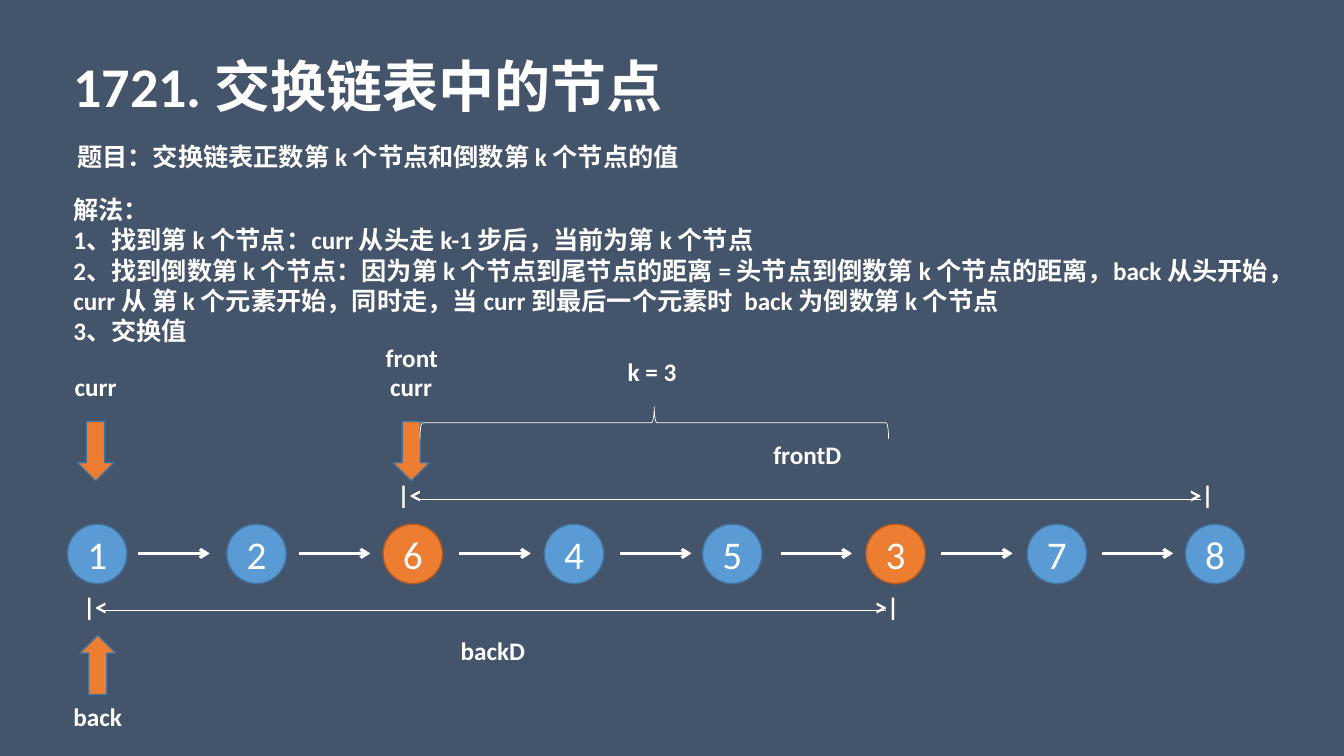
"""Build the slide about swapping the k-th nodes from both ends of a linked list."""
from lxml import etree
from pptx import Presentation
from pptx.dml.color import RGBColor
from pptx.enum.shapes import MSO_CONNECTOR, MSO_SHAPE
from pptx.enum.text import MSO_ANCHOR, MSO_AUTO_SIZE, PP_ALIGN
from pptx.oxml.ns import qn
from pptx.util import Pt

STRAIGHT = MSO_CONNECTOR.STRAIGHT
OVAL = MSO_SHAPE.OVAL
DOWN_ARROW = MSO_SHAPE.DOWN_ARROW
UP_ARROW = MSO_SHAPE.UP_ARROW
LEFT_BRACE = MSO_SHAPE.LEFT_BRACE
MIDDLE = MSO_ANCHOR.MIDDLE
GROW = MSO_AUTO_SIZE.SHAPE_TO_FIT_TEXT
LEFT = PP_ALIGN.LEFT
CENTER = PP_ALIGN.CENTER

FONT = "Calibri"
COLORS = {
    "background": "44546A",
    "white": "FFFFFF",
    "blue": "5B9BD5",
    "blue_edge": "43739E",
    "orange": "ED7D31",
    "orange_edge": "AF5C24",
}

NODES = [(1, 48.2), (2, 162), (6, 273.6), (4, 388.8), (5, 501.8), (3, 618.5), (7, 733.7), (8, 846.7)]
SWAPPED = {6, 3}
NODE_TOP, NODE_SIZE = 374.4, 42.5
LINK_LEFT, LINK_PITCH, LINK_LENGTH, LINK_Y = 98.8, 114.7, 51, 395.3
LABEL_HEIGHT = 28.8
POINTER_WIDTH, POINTER_HEIGHT = 25.9, 42.5

SOLUTION = [
    "解法：",
    "1、找到第 k 个节点：curr 从头走 k-1 步后，当前为第 k 个节点",
    "2、找到倒数第 k 个节点：因为第 k 个节点到尾节点的距离 = 头节点到倒数第 k 个节点的距离，"
    "back 从头开始，curr 从 第 k 个元素开始，同时走，当 curr 到最后一个元素时  back 为倒数第 k 个节点",
    "3、交换值",
]


def color(name):
    return RGBColor.from_string(COLORS[name])


def write_text(frame, lines, size=18, bold=True, align=CENTER):
    for index, line in enumerate(lines):
        paragraph = frame.paragraphs[0] if index == 0 else frame.add_paragraph()
        paragraph.alignment = align
        run = paragraph.add_run()
        run.text = line
        run.font.name = FONT
        run.font.size = Pt(size)
        run.font.bold = bold
        run.font.color.rgb = color("white")


def add_label(slide, lines, left, top, width, height=LABEL_HEIGHT, wrap=True, **text_format):
    box = slide.shapes.add_textbox(Pt(left), Pt(top), Pt(width), Pt(height))
    box.text_frame.word_wrap = wrap
    box.text_frame.auto_size = GROW
    write_text(box.text_frame, lines, **text_format)


def add_figure(slide, kind, left, top, width, height, fill=None, edge="blue_edge", edge_width=1):
    shape = slide.shapes.add_shape(kind, Pt(left), Pt(top), Pt(width), Pt(height))
    shape.shadow.inherit = False
    if fill:
        shape.fill.solid()
        shape.fill.fore_color.rgb = color(fill)
    else:
        shape.fill.background()
    shape.line.color.rgb = color(edge)
    shape.line.width = Pt(edge_width)
    return shape


def add_line(slide, left, right, y, width, arrow=False):
    line = slide.shapes.add_connector(STRAIGHT, Pt(left), Pt(y), Pt(right), Pt(y))
    line.line.color.rgb = color("white")
    line.line.width = Pt(width)
    if arrow:
        etree.SubElement(line.line._get_or_add_ln(), qn("a:tailEnd"), type="arrow")
    etree.SubElement(line._element.spPr, qn("a:effectLst"))


def add_node(slide, value, left):
    family = "orange" if value in SWAPPED else "blue"
    node = add_figure(slide, OVAL, left, NODE_TOP, NODE_SIZE, NODE_SIZE, family, family + "_edge")
    node.text_frame.vertical_anchor = MIDDLE
    write_text(node.text_frame, [str(value)], size=28, bold=False)


def add_distance(slide, name, left, top, name_left, name_top):
    """Draw a named span between two bar-and-arrow end marks."""
    add_label(slide, [name], name_left, name_top, 72)
    add_label(slide, ["|< "], left, top, 42.5)
    add_line(slide, left + 24.5, left + 584, top + 17.3, 0.5)
    add_label(slide, [">| "], left + 565.2, top, 42.5)


def add_pointer(slide, kind, name, left, top, name_top):
    add_figure(slide, kind, left, top, POINTER_WIDTH, POINTER_HEIGHT, "orange")
    width = 50
    add_label(slide, [name], left + (POINTER_WIDTH - width) / 2, name_top, width, wrap=False)


def main():
    presentation = Presentation()
    presentation.slide_width, presentation.slide_height = Pt(960), Pt(540)
    slide = presentation.slides.add_slide(presentation.slide_layouts[6])
    slide.background.fill.solid()
    slide.background.fill.fore_color.rgb = color("background")

    add_label(slide, ["1721. 交换链表中的节点"], 45.4, 33.1, 445.7, 55.4, wrap=False, size=40, align=LEFT)
    add_label(slide, ["题目：交换链表正数第 k 个节点和倒数第 k 个节点的值"], 48.2, 97.2, 825, align=LEFT)
    add_label(slide, SOLUTION, 45.4, 135.4, 892.8, 116, align=LEFT)

    add_distance(slide, "frontD", 273.6, 339.1, 540.7, 310.3)
    add_distance(slide, "backD", 49, 419, 316.1, 450)

    for value, left in NODES:
        add_node(slide, value, left)
    for index in range(len(NODES) - 1):
        left = LINK_LEFT + index * LINK_PITCH
        add_line(slide, left, left + LINK_LENGTH, LINK_Y, 2.25, arrow=True)

    add_pointer(slide, DOWN_ARROW, "curr", 55.4, 301, 261.4)
    add_pointer(slide, DOWN_ARROW, "curr", 280.8, 301, 261.4)
    add_pointer(slide, UP_ARROW, "back", 56.9, 453.6, 497.5)
    add_label(slide, ["front"], 266.4, 241.2, 55.4, wrap=False)

    brace = add_figure(slide, LEFT_BRACE, 455.8, 134.6, 23, 334.8, edge="white", edge_width=0.5)
    brace.rotation = 90
    add_label(slide, ["k = 3"], 429.8, 251.3, 72)

    presentation.save("out.pptx")


if __name__ == "__main__":
    main()
